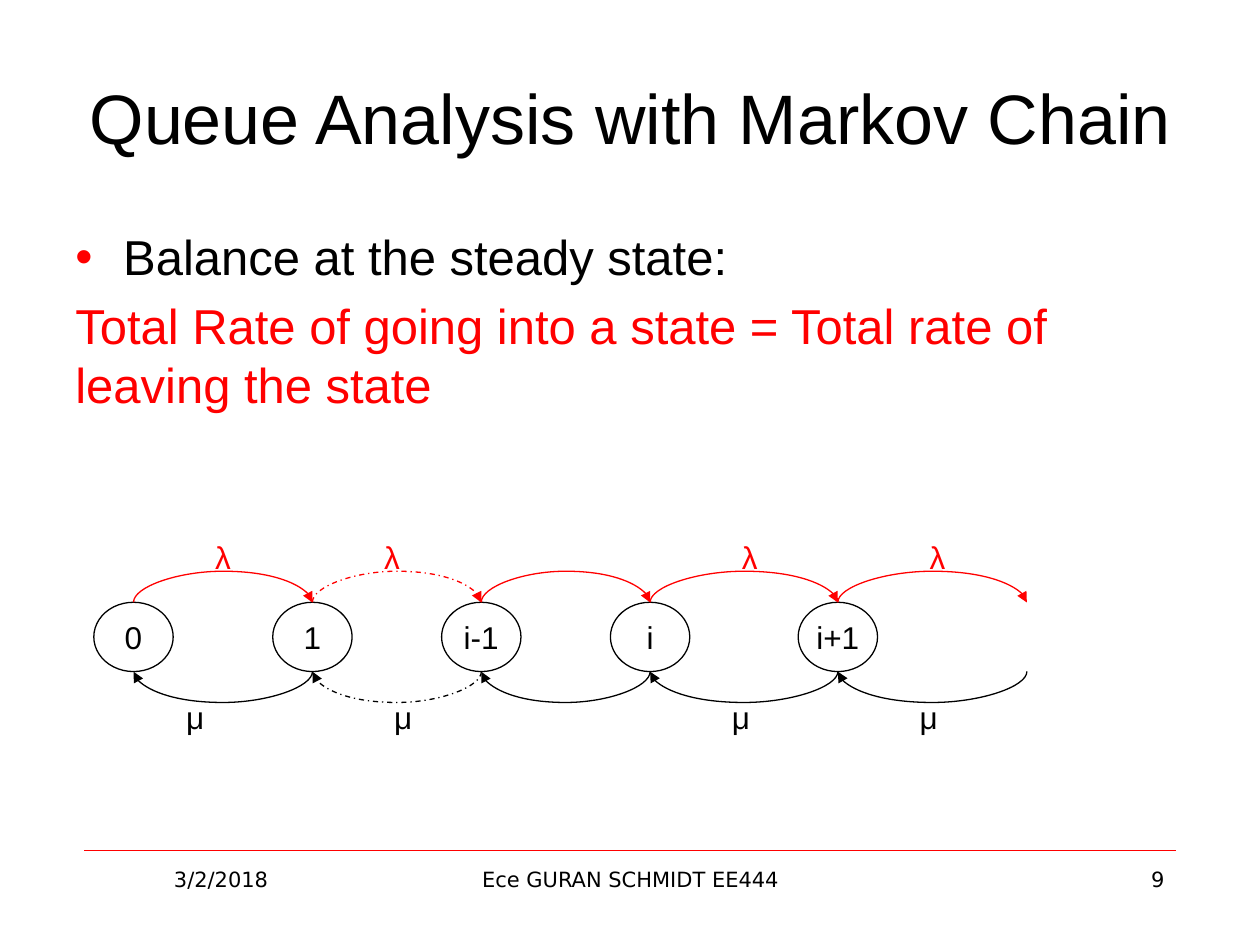
from typing import NamedTuple, Optional

from lxml import etree
from pptx import Presentation, util as u
from pptx.dml.color import RGBColor
from pptx.enum import dml, shapes, text
from pptx.oxml import ns

BLACK = RGBColor(0, 0, 0)
RED = RGBColor(255, 0, 0)
STATE_WIDTH, STATE_HEIGHT = 0.63, 0.55
STATE_TOP = 4.78
STATE_BOTTOM = STATE_TOP + STATE_HEIGHT
ARC_HEIGHT, ARC_BASE = 0.25, 0.002
TOP_SITE, BOTTOM_SITE = 0, 4


class Caption(NamedTuple):
    words: str
    left: float
    top: float
    width: float
    height: float
    size: float
    font: str = "Arial"
    color: RGBColor = BLACK
    align: text.PP_ALIGN = text.PP_ALIGN.LEFT
    anchor: text.MSO_ANCHOR = text.MSO_ANCHOR.TOP


class State(NamedTuple):
    name: str
    center: float


class Step(NamedTuple):
    arrival_left: Optional[float]
    service_left: Optional[float]
    dashed: bool = False


CENTER, RIGHT = text.PP_ALIGN.CENTER, text.PP_ALIGN.RIGHT
CAPTIONS = [
    Caption("Queue Analysis with Markov Chain", 0.5, 0.3, 9, 1.25, 40,
            align=CENTER, anchor=text.MSO_ANCHOR.MIDDLE),
    Caption("3/2/2018", 0.67, 6.83, 2.17, 0.52, 12, "DejaVu Sans", align=CENTER),
    Caption("Ece GURAN SCHMIDT EE444", 3.42, 6.83, 3.17, 0.52, 12, "DejaVu Sans", align=CENTER),
    Caption("9", 7.17, 6.83, 2.17, 0.52, 12, "DejaVu Sans", align=RIGHT),
]
STATES = [State("0", 1.06), State("1", 2.48), State("i-1", 3.82), State("i", 5.16), State("i+1", 6.65)]
CHAIN_END = 8.15
STEPS = [Step(1.61, 1.38), Step(2.95, 3.03, True), Step(None, None), Step(5.79, 5.71), Step(7.28, 7.2)]


def style_paragraph(paragraph, size: float, color: RGBColor, font: str = "Arial") -> None:
    """Format every run of a paragraph."""
    for run in paragraph.runs:
        run.font.size = u.Pt(size)
        run.font.name = font
        run.font.color.rgb = color


def add_caption(slide, caption: Caption):
    """Add a wrapped text box and return it."""
    shape = slide.shapes.add_textbox(*map(u.Inches, caption[1:5]))
    frame = shape.text_frame
    frame.word_wrap = True
    frame.vertical_anchor = caption.anchor
    frame.text = caption.words
    for paragraph in frame.paragraphs:
        paragraph.alignment = caption.align
        style_paragraph(paragraph, caption.size, caption.color, caption.font)
    return shape


def add_body(slide) -> None:
    """Add the bulleted statement and the red balance rule."""
    words = ("Balance at the steady state:\n"
             "Total Rate of going into a state = Total rate of leaving the state")
    shape = add_caption(slide, Caption(words, 0.5, 1.75, 9, 4.95, 28))
    bullet, rule = shape.text_frame.paragraphs
    style_paragraph(rule, 28, RED)
    rule.space_before = u.Pt(5.6)
    properties = bullet._p.get_or_add_pPr()
    properties.set("marL", str(u.Inches(0.38)))
    properties.set("indent", str(u.Inches(-0.38)))
    color = etree.SubElement(properties, ns.qn("a:buClr"))
    etree.SubElement(color, ns.qn("a:srgbClr"), val=str(RED))
    etree.SubElement(properties, ns.qn("a:buFont"), typeface="Arial")
    etree.SubElement(properties, ns.qn("a:buChar"), char="•")


def add_state(slide, state: State):
    """Draw a state of the chain."""
    shape = slide.shapes.add_shape(
        shapes.MSO_SHAPE.OVAL, u.Inches(state.center - STATE_WIDTH / 2), u.Inches(STATE_TOP),
        u.Inches(STATE_WIDTH), u.Inches(STATE_HEIGHT))
    shape.shadow.inherit = False
    shape.fill.background()
    shape.line.color.rgb = BLACK
    shape.line.width = u.Pt(0.75)
    frame = shape.text_frame
    frame.word_wrap = False
    frame.vertical_anchor = text.MSO_ANCHOR.MIDDLE
    frame.text = state.name
    frame.paragraphs[0].alignment = CENTER
    style_paragraph(frame.paragraphs[0], 18, BLACK)
    return shape


def add_line(slide, kind, ends: tuple, color: RGBColor, width: float):
    """Draw a connector without a shadow."""
    line = slide.shapes.add_connector(kind, *map(u.Inches, ends))
    line.line.color.rgb = color
    line.line.width = u.Pt(width)
    etree.SubElement(line._element.spPr, ns.qn("a:effectLst"))
    return line


def add_arc(slide, left: float, right: float, above: bool, dashed: bool, source, target) -> None:
    """Draw a curved arrow, rightwards above the states or leftwards below them."""
    middle, half = (left + right) / 2, (right - left) / 2
    level = STATE_TOP if above else STATE_BOTTOM
    rise = half if above else -half
    ends = (middle - ARC_BASE / 2, level + rise, middle + ARC_BASE / 2, level - rise)
    arc = add_line(slide, shapes.MSO_CONNECTOR.CURVE, ends, RED if above else BLACK, 0.75)
    if dashed:
        arc.line.dash_style = dml.MSO_LINE.DASH_DOT
    etree.SubElement(arc.line._get_or_add_ln(), ns.qn("a:tailEnd"), type="triangle")
    properties = arc._element.spPr
    properties.find(ns.qn("a:xfrm")).set("rot", str(90 * 60000))
    bend = round(ARC_HEIGHT / ARC_BASE * 100000) * (-1 if above else 1)
    guides = properties.find(ns.qn("a:prstGeom")).find(ns.qn("a:avLst"))
    etree.SubElement(guides, ns.qn("a:gd"), name="adj1", fmla=f"val {bend}")
    joints = arc._element.find(".//" + ns.qn("p:cNvCxnSpPr"))
    for tag, state in (("a:stCxn", source), ("a:endCxn", target)):
        if state is not None:
            etree.SubElement(joints, ns.qn(tag), id=str(state.shape_id),
                             idx=str(TOP_SITE if above else BOTTOM_SITE))


def add_chain(slide) -> None:
    """Draw the states, their transitions and the rate labels."""
    ovals = [add_state(slide, state) for state in STATES] + [None]
    centers = [state.center for state in STATES] + [CHAIN_END]
    for index, step in enumerate(STEPS):
        left, right = centers[index:index + 2]
        near, far = ovals[index:index + 2]
        add_arc(slide, left, right, True, step.dashed, near, far)
        add_arc(slide, left, right, False, step.dashed, far, near)
        for symbol, label_left, top, color in (("λ", step.arrival_left, 4.22, RED),
                                               ("μ", step.service_left, 5.49, BLACK)):
            if label_left is not None:
                add_caption(slide, Caption(symbol, label_left, top, 0.63, 0.4, 18, color=color))


def main() -> None:
    """Build and save the slide."""
    presentation = Presentation()
    presentation.slide_width, presentation.slide_height = u.Inches(10), u.Inches(7.5)
    slide = presentation.slides.add_slide(presentation.slide_layouts[6])
    add_line(slide, shapes.MSO_CONNECTOR.STRAIGHT, (0.67, 6.75, 9.33, 6.75), RED, 0.25)
    for caption in CAPTIONS:
        add_caption(slide, caption)
    add_body(slide)
    add_chain(slide)
    presentation.save("out.pptx")


if __name__ == "__main__":
    main()
